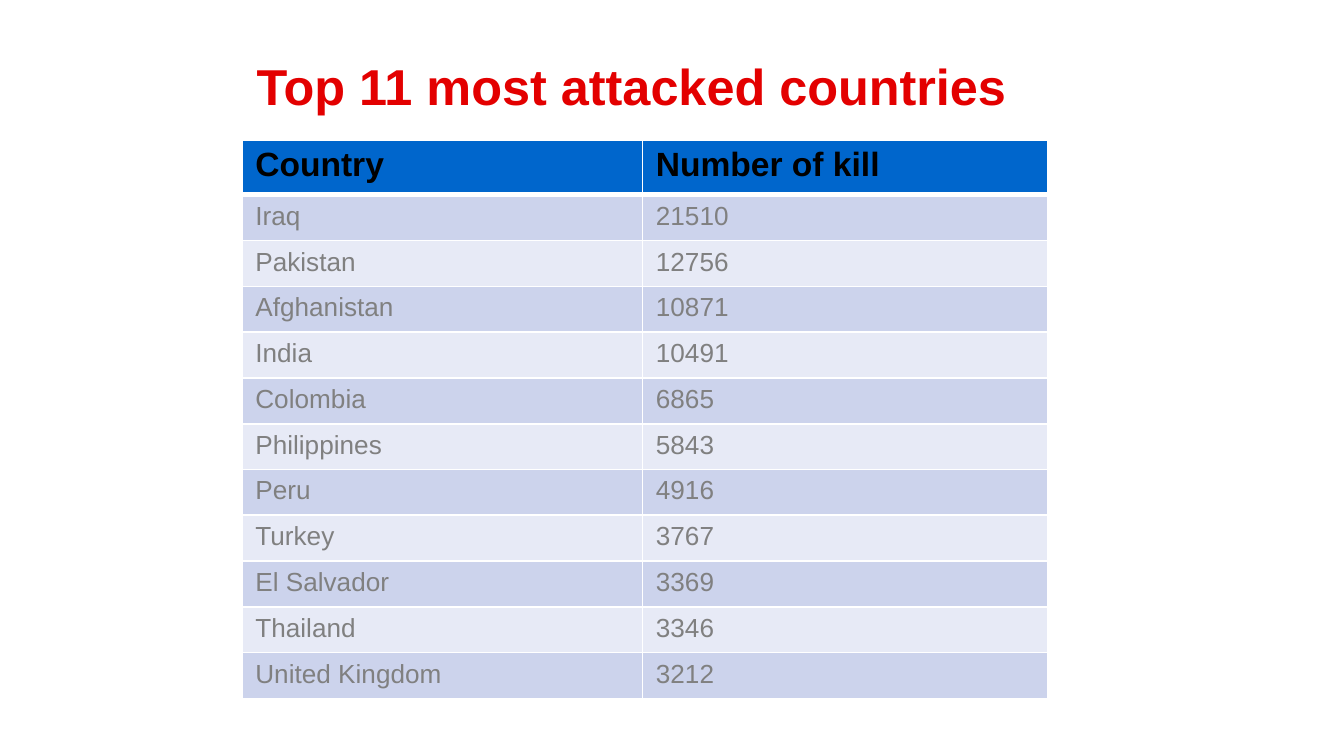
from lxml import etree
from pptx import Presentation
from pptx.dml.color import RGBColor
from pptx.enum.text import MSO_ANCHOR, MSO_AUTO_SIZE, PP_ALIGN
from pptx.oxml.ns import qn
from pptx.util import Inches, Pt

LEFT = PP_ALIGN.LEFT
TOP = MSO_ANCHOR.TOP
FIXED = MSO_AUTO_SIZE.NONE

RED = RGBColor(0xE3, 0x00, 0x00)
BLACK = RGBColor(0x00, 0x00, 0x00)
WHITE = RGBColor(0xFF, 0xFF, 0xFF)
GRAY = RGBColor(0x80, 0x80, 0x80)
BLUE = RGBColor(0x00, 0x66, 0xCC)
BANDS = (RGBColor(0xE7, 0xEA, 0xF6), RGBColor(0xCC, 0xD3, 0xEC))

TITLE = {"name": "Arial", "size": Pt(27), "bold": True}
HEAD = {"name": "Arial", "size": Pt(18), "bold": True}
BODY = {"name": "Arial", "size": Pt(14), "bold": False}
FRAME = {
    "vertical_anchor": TOP,
    "auto_size": FIXED,
    "word_wrap": True,
    "margin_left": Inches(1.41),
    "margin_top": Inches(0.25),
    "margin_bottom": 0,
}

ROWS = [
    ("Country", "Number of kill"),
    ("Iraq", "21510"),
    ("Pakistan", "12756"),
    ("Afghanistan", "10871"),
    ("India", "10491"),
    ("Colombia", "6865"),
    ("Philippines", "5843"),
    ("Peru", "4916"),
    ("Turkey", "3767"),
    ("El Salvador", "3369"),
    ("Thailand", "3346"),
    ("United Kingdom", "3212"),
]


def apply(item, form):
    for key, value in form.items():
        setattr(item, key, value)


def style(font, form, color):
    apply(font, form)
    font.color.rgb = color


def add_rule(cell, width):
    line = etree.Element(qn("a:lnB"), w=str(Pt(width)))
    fill = etree.SubElement(line, qn("a:solidFill"))
    etree.SubElement(fill, qn("a:srgbClr"), val=str(WHITE))
    cell._tc.get_or_add_tcPr().insert(0, line)


def add_title(slide, left, top, width, height):
    title = slide.shapes.title
    box = {"left": left, "top": top, "width": width, "height": height}
    apply(title, {key: Inches(value) for key, value in box.items()})
    frame = title.text_frame
    frame.text = "Top 11 most attacked countries"
    apply(frame, FRAME)
    para = frame.paragraphs[0]
    para.alignment = LEFT
    style(para.runs[0].font, TITLE, RED)


def add_grid(slide, left, top, width, height):
    head = 0.41
    step = (height - head) / (len(ROWS) - 1)
    box = [Inches(x) for x in (left, top, width, height)]
    table = slide.shapes.add_table(len(ROWS), 2, *box).table
    first = 2.98
    for col, size in zip(table.columns, (first, width - first)):
        col.width = Inches(size)
    for r, row in enumerate(ROWS):
        table.rows[r].height = Inches(step if r else head)
        form, ink, fill = (BODY, GRAY, BANDS[r % 2]) if r else (HEAD, BLACK, BLUE)
        for c, text in enumerate(row):
            cell = table.cell(r, c)
            cell.text = text
            cell.fill.solid()
            cell.fill.fore_color.rgb = fill
            style(cell.text_frame.paragraphs[0].runs[0].font, form, ink)
            if r == 0:
                add_rule(cell, 3)


def main():
    deck = Presentation()
    deck.slide_width = Inches(10)
    deck.slide_height = Inches(10 * 9 / 16)
    slide = deck.slides.add_slide(deck.slide_layouts[5])
    add_title(slide, 0.5, 0.16, 9, 0.48)
    add_grid(slide, 1.8, 1.04, 6, 4.16)
    deck.save("out.pptx")


if __name__ == "__main__":
    main()
